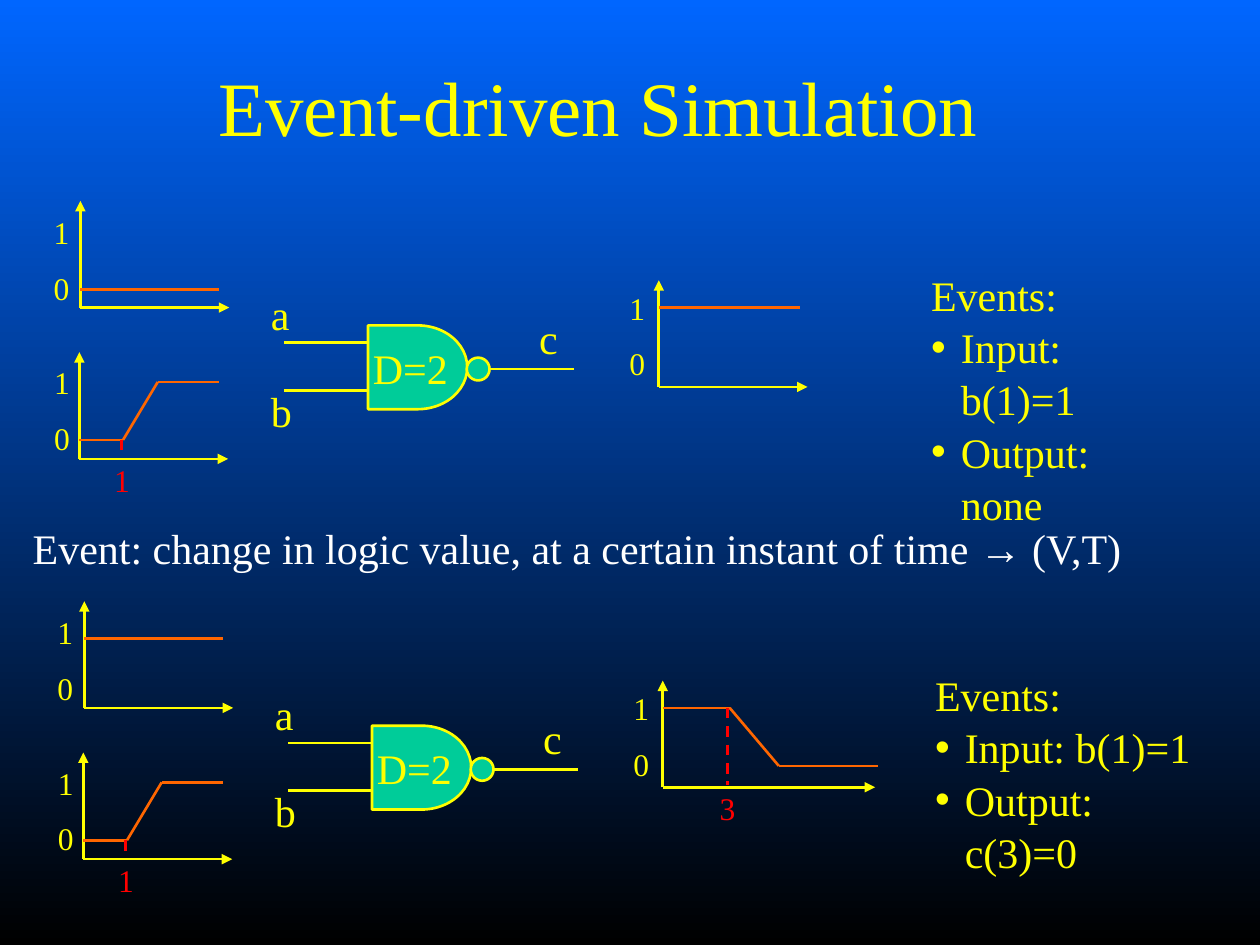
import itertools
import pptx
import pptx.dml.color
import pptx.enum.dml
import pptx.enum.shapes
import pptx.enum.text
import pptx.oxml.ns
import pptx.util
from lxml import etree

COLORS = {"sky": "0066FF", "night": "000000", "yellow": "FFFF00", "orange": "FF6600",
          "red": "FF0000", "green": "00CC99", "white": "FFFFFF"}
SERIF = "Times New Roman"
TITLE = "Event-driven Simulation"
DEFINITION = [("Event: change in logic value, at a certain instant of time ", SERIF),
              ("→", "Arial"), (" (V,T)", SERIF)]

GRAPHS = {
    "a": {"origin": (1.62, 6.2), "low": 0.36, "high": 1.4, "label": 0.79},
    "b": {"origin": (1.6, 9.25), "low": 0.38, "high": 1.55, "label": 0.76},
    "c": {"origin": (13.28, 7.8), "low": 0.43, "high": 1.6, "label": 0.84},
}
RISE = [(0, 0), (0.88, 0), (1.58, 1), (2.82, 1)]
FALL = [(0, 1), (1.35, 1), (2.34, 0), (4.34, 0)]
SCENES = [
    {"shift": (0, 0), "events": ["Events:", "Input: b(1)=1", "Output: none"], "events_width": 5.33,
     "signals": [("a", [(0, 0), (2.8, 0)], 3, None),
                 ("b", RISE, 3, (0.85, 0, "1")),
                 ("c", [(0, 1), (2.84, 1)], 3, None)]},
    {"shift": (0.08, 8.07), "events": ["Events:", "Input: b(1)=1", "Output: c(3)=0"], "events_width": 5.87,
     "signals": [("a", [(0, 1), (2.8, 1)], 3, None),
                 ("b", RISE, 3, (0.85, 0, "1")),
                 ("c", FALL, 4.28, (1.3, 1, "3"))]},
]
WIRES = [(9.88, 7.44, 11.58, 7.44), (7.39, 6.91, 5.72, 6.91), (7.39, 7.87, 5.72, 7.87)]
PIN_LABELS = [("a", 5.21, 5.69), ("b", 5.21, 7.65), ("c", 10.62, 6.17)]

deck = pptx.Presentation()
deck.slide_width, deck.slide_height = pptx.util.Cm(25.4), pptx.util.Cm(19.05)
page = deck.slides.add_slide(deck.slide_layouts[6])


def rgb(name):
    return pptx.dml.color.RGBColor.from_string(COLORS[name])


def lengths(*values):
    return [pptx.util.Cm(value) for value in values]


def style(span, size, color, font=SERIF):
    span.font.size = pptx.util.Pt(size)
    span.font.name = font
    span.font.color.rgb = rgb(color)


def add_line(shift, start, end, color, arrow=False, dashed=False):
    (dx, dy), (x1, y1), (x2, y2) = shift, start, end
    line = page.shapes.add_connector(pptx.enum.shapes.MSO_CONNECTOR.STRAIGHT,
                                     *lengths(x1 + dx, y1 + dy, x2 + dx, y2 + dy))
    line.line.color.rgb = rgb(color)
    line.line.width = pptx.util.Pt(1.5)
    if dashed:
        line.line.dash_style = pptx.enum.dml.MSO_LINE.DASH
    if arrow:
        etree.SubElement(line.line._get_or_add_ln(), pptx.oxml.ns.qn("a:tailEnd"), type="triangle")
    etree.SubElement(line._element.spPr, pptx.oxml.ns.qn("a:effectLst"))


def add_text(shift, left, top, width, height, lines, size, color, wrap=False):
    box = page.shapes.add_textbox(*lengths(left + shift[0], top + shift[1], width, height))
    frame = box.text_frame
    frame.text = "\n".join(lines)
    frame.word_wrap = wrap
    for para in frame.paragraphs:
        for span in para.runs:
            style(span, size, color)
    return frame


def add_bullet(para):
    properties = para._p.get_or_add_pPr()
    properties.set("marL", str(pptx.util.Cm(0.6)))
    properties.set("indent", str(pptx.util.Cm(-0.6)))
    etree.SubElement(properties, pptx.oxml.ns.qn("a:buFont"), typeface="Arial")
    etree.SubElement(properties, pptx.oxml.ns.qn("a:buChar"), char="•")


def add_graph(shift, name, wave, width, mark):
    graph = GRAPHS[name]
    x, y = graph["origin"]
    levels = (y - graph["low"], y - graph["high"])
    add_line(shift, (x, y), (x, y - 2.15), "yellow", arrow=True)
    add_line(shift, (x, y), (x + width, y), "yellow", arrow=True)
    points = [(x + time, levels[value]) for time, value in wave]
    for start, end in itertools.pairwise(points):
        add_line(shift, start, end, "orange")
    for value in (0, 1):
        add_text(shift, x - graph["label"], levels[0] - 0.55 - 1.12 * value, 0.81, 1.02,
                 [str(value)], 18, "yellow")
    if mark:
        time, value, label = mark
        add_line(shift, (x + time, levels[value]), (x + time, y - 0.04), "red", dashed=True)
        add_text(shift, x + time - 0.4, y - 0.09, 0.81, 1.02, [label], 18, "red")


def add_body(shift, preset, left, top, width, height):
    shape = page.shapes.add_shape(preset, *lengths(left + shift[0], top + shift[1], width, height))
    shape.shadow.inherit = False
    shape.fill.solid()
    shape.fill.fore_color.rgb = rgb("green")
    shape.line.color.rgb = rgb("yellow")
    shape.line.width = pptx.util.Pt(1.5)
    return shape


def add_gate(shift):
    presets = pptx.enum.shapes.MSO_SHAPE
    frame = add_body(shift, presets.FLOWCHART_DELAY, 7.42, 6.56, 2, 1.69).text_frame
    frame.text = "D=2"
    frame.word_wrap = False
    frame.vertical_anchor = pptx.enum.text.MSO_ANCHOR.MIDDLE
    frame.paragraphs[0].alignment = pptx.enum.text.PP_ALIGN.CENTER
    style(frame.paragraphs[0].runs[0], 24, "yellow")
    add_body(shift, presets.OVAL, 9.41, 7.21, 0.46, 0.46)
    for x1, y1, x2, y2 in WIRES:
        add_line(shift, (x1, y1), (x2, y2), "yellow")
    for label, left, top in PIN_LABELS:
        add_text(shift, left, top, 0.9, 1.27, [label], 24, "yellow")


backdrop = page.background.fill
backdrop.gradient()
backdrop.gradient_angle = 270
for stop, color in zip(backdrop.gradient_stops, ("sky", "night")):
    stop.color.rgb = rgb(color)

title = add_text((0, 0), 0.61, 0.64, 22.91, 2.97, [TITLE], 44, "yellow", wrap=True)
title.vertical_anchor = pptx.enum.text.MSO_ANCHOR.MIDDLE
title.paragraphs[0].alignment = pptx.enum.text.PP_ALIGN.CENTER

definition = add_text((0, 0), 0.41, 10.41, 24.66, 1.65, [], 24, "white", wrap=True)
for text, font in DEFINITION:
    span = definition.paragraphs[0].add_run()
    span.text = text
    style(span, 24, "white", font)

for scene in SCENES:
    for signal in scene["signals"]:
        add_graph(scene["shift"], *signal)
    add_gate(scene["shift"])
    events = add_text(scene["shift"], 18.52, 5.26, scene["events_width"], 3.3,
                      scene["events"], 24, "yellow", wrap=True)
    for para in events.paragraphs[1:]:
        add_bullet(para)
    for para in events.paragraphs:
        para.line_spacing = 1.04

deck.save("out.pptx")
